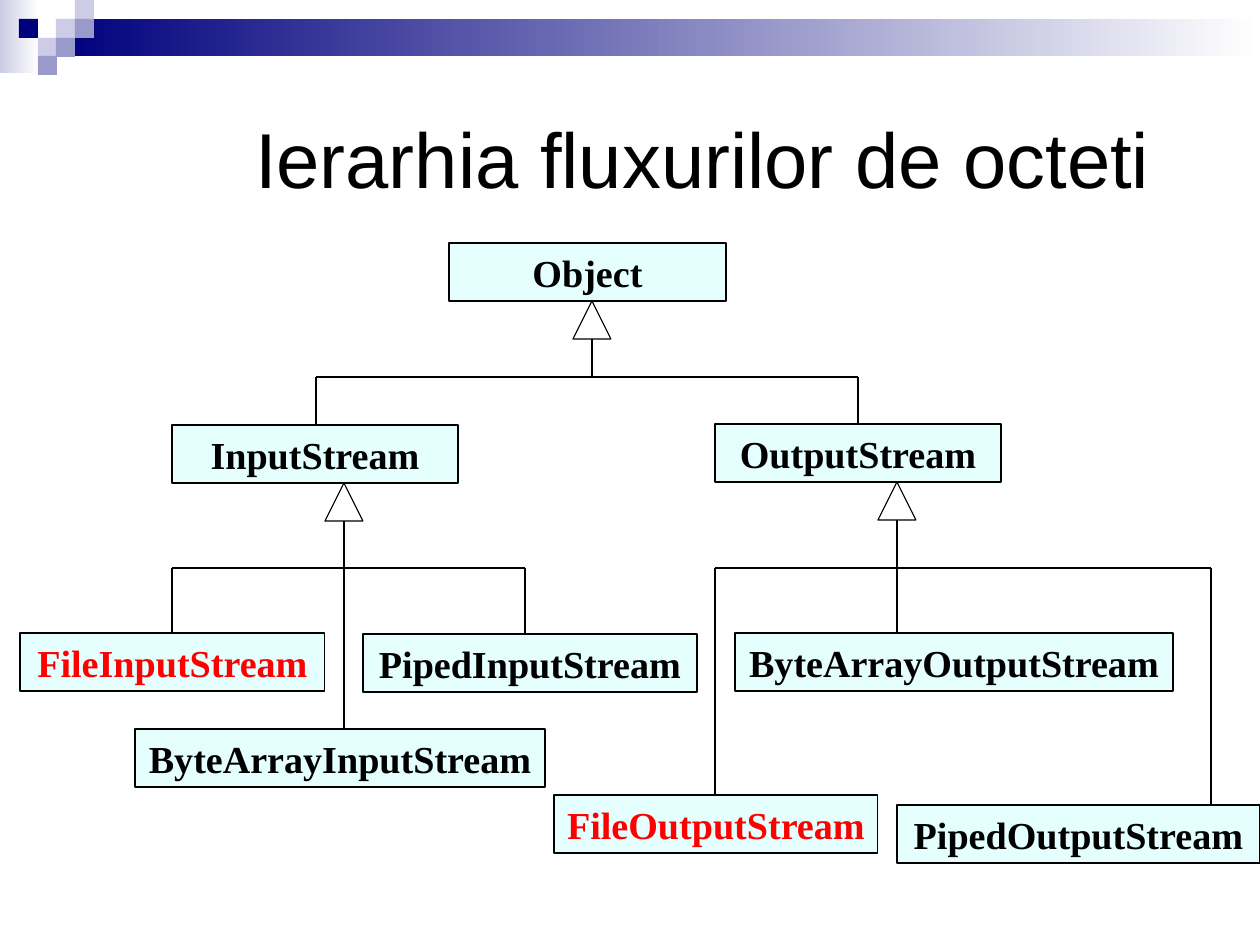
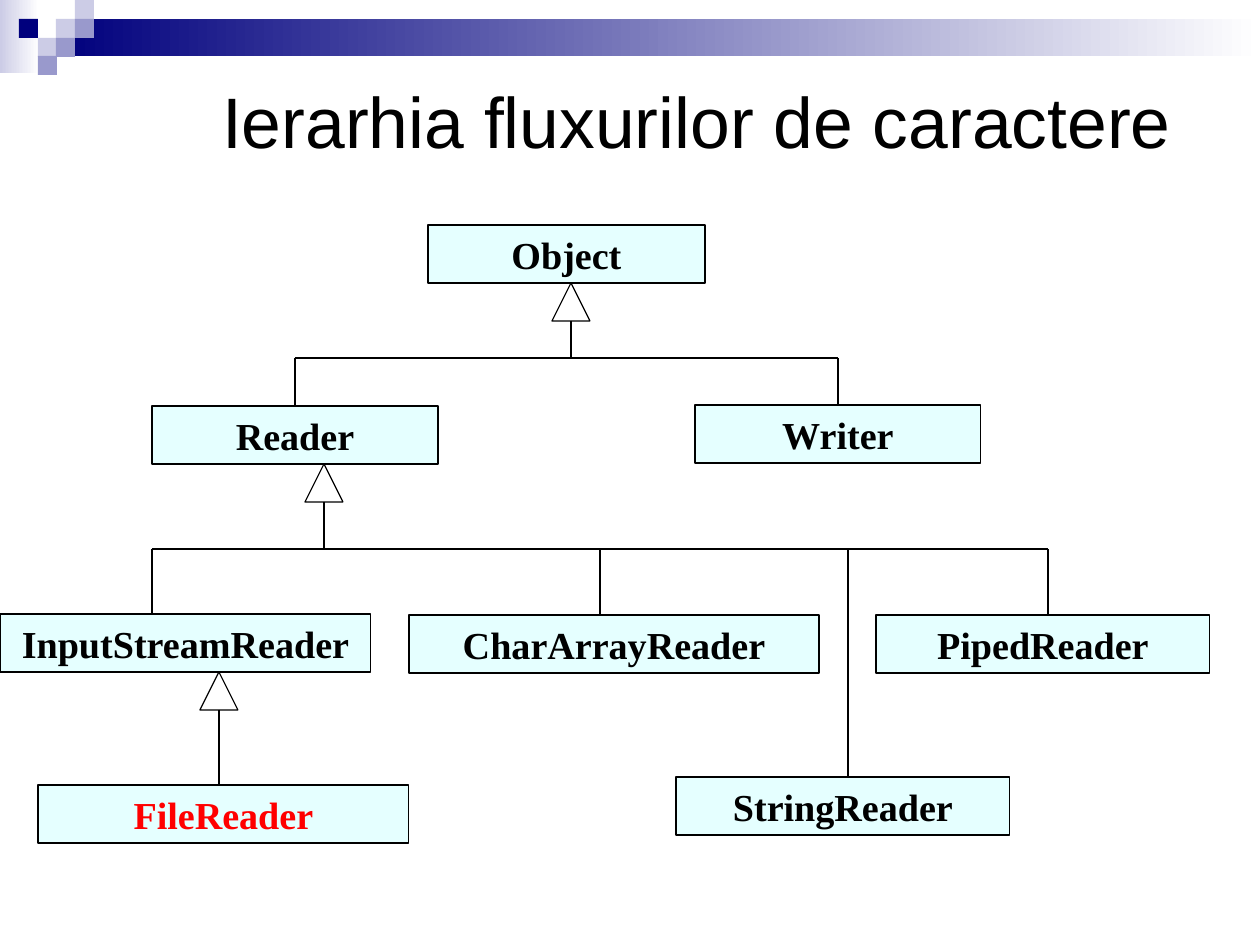
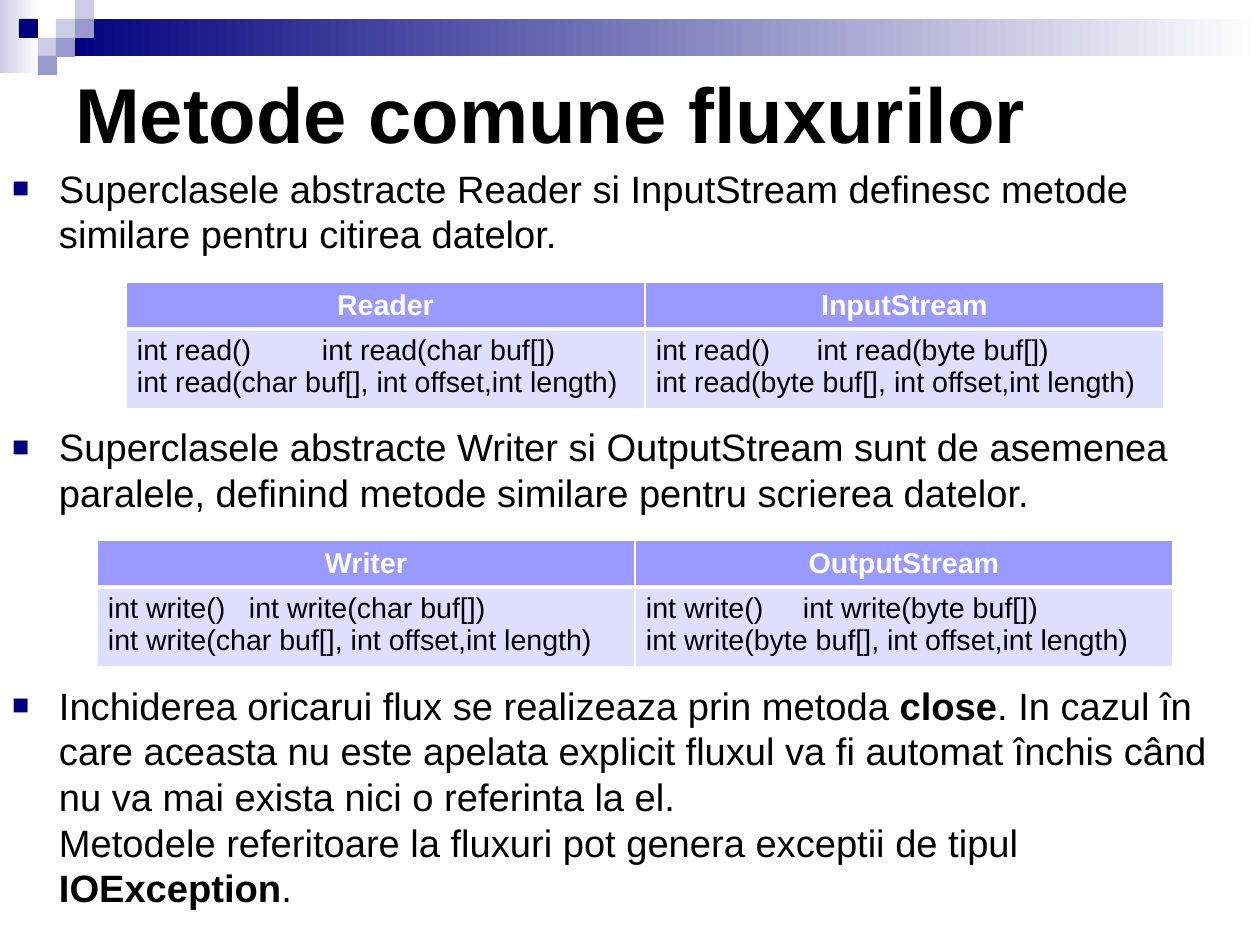
from dataclasses import dataclass

import lxml.etree
import pptx
import pptx.dml.color
import pptx.enum.shapes
import pptx.enum.text
import pptx.oxml.ns
import pptx.presentation
import pptx.shapes.autoshape
import pptx.slide
import pptx.table
import pptx.text.text
import pptx.util

EMU_PER_PX = 8000
SLIDE_WIDTH, SLIDE_HEIGHT = 1260, 945
COLORS = {
    "navy": "00007D",
    "lavender": "CCCCE6",
    "violet": "9999CC",
    "white": "FFFFFF",
    "black": "000000",
    "red": "FF0000",
    "box": "CCFFFF",
    "table_head": "9999FF",
    "table_body": "DEDEFF",
}
SANS, SERIF = "Arial", "Times New Roman"

BAND_STEP = 18.75
BAND_SQUARES = [  # column, row, colour
    (3, 1, "lavender"), (4, 0, "lavender"), (4, 1, "violet"), (2, 2, "lavender"),
    (1, 1, "navy"), (3, 2, "violet"), (2, 3, "violet"),
]

BOX_HEIGHT = 58
TRIANGLE_SIZE = 38
BULLET_INDENT = 47
TABLE_ROWS = (47, 80)

MSO_SHAPE = pptx.enum.shapes.MSO_SHAPE
ALIGN = pptx.enum.text.PP_ALIGN
ANCHOR = pptx.enum.text.MSO_ANCHOR


@dataclass(frozen=True)
class Area:
    left: int
    top: int
    width: int
    height: int


@dataclass(frozen=True)
class TitleStyle:
    area: Area
    size: int = 49
    indent: int = 0
    bold: bool = False


@dataclass(frozen=True)
class ClassBox:
    name: str
    left: int
    top: int
    width: int
    color: str = "black"


@dataclass(frozen=True)
class Branch:
    """Inheritance arrow of a parent; children maps each name to its drop line's x."""
    parent: str
    apex_x: int
    rail_y: int
    children: dict[str, int]


@dataclass(frozen=True)
class Hierarchy:
    title: str
    title_style: TitleStyle
    boxes: list[ClassBox]
    branches: list[Branch]


@dataclass(frozen=True)
class MethodColumn:
    heading: str
    tab: int
    lines: list[str]


@dataclass(frozen=True)
class MethodTable:
    left: int
    top: int
    column_width: int
    columns: list[MethodColumn]


HIERARCHIES = [
    Hierarchy(
        "Ierarhia fluxurilor de octeti",
        TitleStyle(Area(63, 63, 1134, 189), indent=180),
        [
            ClassBox("Object", 449, 243, 277),
            ClassBox("InputStream", 172, 425, 286),
            ClassBox("OutputStream", 715, 424, 286),
            ClassBox("FileInputStream", 20, 633, 305, "red"),
            ClassBox("PipedInputStream", 363, 634, 334),
            ClassBox("ByteArrayInputStream", 135, 729, 410),
            ClassBox("ByteArrayOutputStream", 735, 633, 438),
            ClassBox("FileOutputStream", 554, 795, 324, "red"),
            ClassBox("PipedOutputStream", 897, 805, 363),
        ],
        [
            Branch("Object", 592, 377, {"InputStream": 316, "OutputStream": 858}),
            Branch("InputStream", 344, 568, {
                "FileInputStream": 172, "ByteArrayInputStream": 344, "PipedInputStream": 525}),
            Branch("OutputStream", 897, 568, {
                "FileOutputStream": 715, "ByteArrayOutputStream": 897,
                "PipedOutputStream": 1211}),
        ],
    ),
    Hierarchy(
        "Ierarhia fluxurilor de caractere",
        TitleStyle(Area(30, 25, 1167, 189), size=45, indent=180),
        [
            ClassBox("Object", 428, 225, 277),
            ClassBox("Reader", 152, 406, 286),
            ClassBox("Writer", 695, 405, 286),
            ClassBox("InputStreamReader", 0, 614, 371),
            ClassBox("CharArrayReader", 409, 615, 410),
            ClassBox("PipedReader", 876, 615, 334),
            ClassBox("StringReader", 676, 777, 334),
            ClassBox("FileReader", 38, 785, 371, "red"),
        ],
        [
            Branch("Object", 571, 358, {"Reader": 295, "Writer": 838}),
            Branch("Reader", 324, 549, {
                "InputStreamReader": 152, "CharArrayReader": 600,
                "StringReader": 848, "PipedReader": 1048}),
            Branch("InputStreamReader", 219, 748, {"FileReader": 219}),
        ],
    ),
]

METHODS_TITLE = "Metode comune fluxurilor"
METHODS_TITLE_STYLE = TitleStyle(Area(63, 18, 1134, 189), bold=True)
METHODS_BODY = Area(0, 158, 1230, 780)
METHODS_GAP = 167
# Each paragraph is a list of (text, bold); "\n" is a line break.
METHODS_PARAGRAPHS = [
    [("Superclasele abstracte Reader si InputStream definesc metode similare "
      "pentru citirea datelor.", False)],
    [("Superclasele abstracte Writer si OutputStream sunt de asemenea paralele, "
      "definind metode similare pentru scrierea datelor.", False)],
    [
        ("Inchiderea oricarui flux se realizeaza prin metoda ", False),
        ("close", True),
        (". In cazul în care aceasta nu este apelata explicit fluxul va fi automat "
         "închis când nu va mai exista nici o referinta la el.", False),
        ("\n", False),
        ("Metodele referitoare la fluxuri pot genera exceptii de tipul ", False),
        ("IOException", True),
        (".", False),
    ],
]
METHOD_TABLES = [
    MethodTable(126, 282, 519, [
        MethodColumn("Reader", 185, [
            "int read()\tint read(char buf[])",
            "int read(char buf[], int offset,int length)"]),
        MethodColumn("InputStream", 161, [
            "int read()\tint read(byte buf[])",
            "int read(byte buf[], int offset,int length)"]),
    ]),
    MethodTable(97, 540, 538, [
        MethodColumn("Writer", 141, [
            "int write()\tint write(char buf[])",
            "int write(char buf[], int offset,int length)"]),
        MethodColumn("OutputStream", 157, [
            "int write()\tint write(byte buf[])",
            "int write(byte buf[], int offset,int length)"]),
    ]),
]


def px(length: int) -> pptx.util.Emu:
    return pptx.util.Emu(length * EMU_PER_PX)


def rgb(color: str) -> pptx.dml.color.RGBColor:
    return pptx.dml.color.RGBColor.from_string(COLORS[color])


def add_element(parent: lxml.etree._Element, tag: str, **attributes: str) -> lxml.etree._Element:
    return lxml.etree.SubElement(parent, pptx.oxml.ns.qn(tag), attributes)


def add_run(paragraph: pptx.text.text._Paragraph, text: str, size: int,
            color: str = "black", bold: bool = False, font: str = SANS) -> None:
    run = paragraph.add_run()
    run.text = text
    run.font.name = font
    run.font.size = pptx.util.Pt(size)
    run.font.bold = bold
    run.font.color.rgb = rgb(color)


def place(shape: pptx.shapes.autoshape.Shape, area: Area) -> None:
    shape.left, shape.top = px(area.left), px(area.top)
    shape.width, shape.height = px(area.width), px(area.height)


def format_frame(frame: pptx.text.text.TextFrame, anchor: ANCHOR) -> None:
    frame.word_wrap = True
    frame.auto_size = pptx.enum.text.MSO_AUTO_SIZE.NONE
    frame.vertical_anchor = anchor
    frame.margin_left = frame.margin_right = px(12)
    frame.margin_top = frame.margin_bottom = px(7)


def add_plain_shape(slide: pptx.slide.Slide, kind: MSO_SHAPE,
                    area: Area) -> pptx.shapes.autoshape.Shape:
    shape = slide.shapes.add_shape(
        kind, px(area.left), px(area.top), px(area.width), px(area.height))
    shape.shadow.inherit = False
    shape.fill.background()
    shape.line.fill.background()
    return shape


def outline(shape: pptx.shapes.autoshape.Shape) -> None:
    shape.line.color.rgb = rgb("black")
    shape.line.width = pptx.util.Pt(0.75)


def add_line(slide: pptx.slide.Slide, x1: int, y1: int, x2: int, y2: int) -> None:
    connector = slide.shapes.add_connector(
        pptx.enum.shapes.MSO_CONNECTOR.STRAIGHT, px(x1), px(y1), px(x2), px(y2))
    outline(connector)
    add_element(connector.element.spPr, "a:effectLst")


def add_fade(slide: pptx.slide.Slide, area: Area, color: str) -> pptx.shapes.autoshape.Shape:
    shape = add_plain_shape(slide, MSO_SHAPE.RECTANGLE, area)
    shape.fill.gradient()
    shape.fill.gradient_angle = 0
    for stop, stop_color in zip(shape.fill.gradient_stops, (color, "white")):
        stop.color.rgb = rgb(stop_color)
    return shape


def add_band_to_master(presentation: pptx.presentation.Presentation,
                       slide: pptx.slide.Slide) -> None:
    """Draw the band on a slide, then move it to the master so all slides share it."""
    shapes = [
        add_fade(slide, Area(0, 0, 39, 73), "lavender"),
        add_fade(slide, Area(57, 19, SLIDE_WIDTH - 57, 37), "navy"),
    ]
    for column, row, color in BAND_SQUARES:
        square = add_plain_shape(slide, MSO_SHAPE.RECTANGLE, Area(
            round(column * BAND_STEP), round(row * BAND_STEP), 19, 19))
        square.fill.solid()
        square.fill.fore_color.rgb = rgb(color)
        shapes.append(square)
    for shape_id, shape in enumerate(shapes, 20):
        shape.element.nvSpPr.cNvPr.set("id", str(shape_id))
        presentation.slide_master.shapes.element.append(shape.element)


def set_title(slide: pptx.slide.Slide, text: str, style: TitleStyle) -> None:
    title = slide.shapes.title
    place(title, style.area)
    format_frame(title.text_frame, ANCHOR.MIDDLE)
    paragraph = title.text_frame.paragraphs[0]
    paragraph.alignment = ALIGN.LEFT
    properties = paragraph._p.get_or_add_pPr()
    properties.set("marL", str(px(style.indent)))
    properties.set("indent", "0")
    add_run(paragraph, text, style.size, bold=style.bold)


def add_class_box(slide: pptx.slide.Slide, box: ClassBox) -> None:
    shape = add_plain_shape(slide, MSO_SHAPE.RECTANGLE,
                            Area(box.left, box.top, box.width, BOX_HEIGHT))
    shape.fill.solid()
    shape.fill.fore_color.rgb = rgb("box")
    fill_color = next(shape.element.spPr.iter(pptx.oxml.ns.qn("a:srgbClr")))
    add_element(fill_color, "a:alpha", val="50000")
    outline(shape)
    format_frame(shape.text_frame, ANCHOR.MIDDLE)
    shape.text_frame.word_wrap = False
    paragraph = shape.text_frame.paragraphs[0]
    paragraph.alignment = ALIGN.CENTER
    add_run(paragraph, box.name, 24, box.color, True, SERIF)


def add_branch(slide: pptx.slide.Slide, branch: Branch, boxes: dict[str, ClassBox]) -> None:
    apex_y = boxes[branch.parent].top + BOX_HEIGHT
    triangle = add_plain_shape(slide, MSO_SHAPE.ISOSCELES_TRIANGLE, Area(
        branch.apex_x - TRIANGLE_SIZE // 2, apex_y, TRIANGLE_SIZE, TRIANGLE_SIZE))
    outline(triangle)
    add_line(slide, branch.apex_x, apex_y + TRIANGLE_SIZE, branch.apex_x, branch.rail_y)
    drops = branch.children.values()
    if len(drops) > 1:
        add_line(slide, min(drops), branch.rail_y, max(drops), branch.rail_y)
    for name, x in branch.children.items():
        add_line(slide, x, branch.rail_y, x, boxes[name].top)


def fill_hierarchy_slide(slide: pptx.slide.Slide, hierarchy: Hierarchy) -> None:
    set_title(slide, hierarchy.title, hierarchy.title_style)
    for box in hierarchy.boxes:
        add_class_box(slide, box)
    boxes = {box.name: box for box in hierarchy.boxes}
    for branch in hierarchy.branches:
        add_branch(slide, branch, boxes)


def add_bullet(paragraph: pptx.text.text._Paragraph) -> None:
    properties = paragraph._p.get_or_add_pPr()
    properties.set("marL", str(px(BULLET_INDENT)))
    properties.set("indent", str(-px(BULLET_INDENT)))
    bullet_color = add_element(properties, "a:buClr")
    add_element(bullet_color, "a:srgbClr", val=COLORS["navy"])
    add_element(properties, "a:buSzPct", val="75000")
    add_element(properties, "a:buFont", typeface=SANS)
    add_element(properties, "a:buChar", char="■")


def fill_methods_body(body: pptx.shapes.autoshape.Shape) -> None:
    place(body, METHODS_BODY)
    frame = body.text_frame
    format_frame(frame, ANCHOR.TOP)
    for index, runs in enumerate(METHODS_PARAGRAPHS):
        paragraph = frame.add_paragraph() if index else frame.paragraphs[0]
        add_bullet(paragraph)
        paragraph.alignment = ALIGN.LEFT
        paragraph.line_spacing = pptx.util.Pt(28.8)
        paragraph.space_before = px(METHODS_GAP if index else 0)
        for text, bold in runs:
            if text == "\n":
                paragraph.add_line_break()
            else:
                add_run(paragraph, text, 24, bold=bold)


def style_cell(cell: pptx.table._Cell, fill: str, top: int, bottom: int) -> None:
    """Set the fill, margins and white borders; top and bottom are widths in points."""
    cell.fill.solid()
    cell.fill.fore_color.rgb = rgb(fill)
    cell.margin_left = cell.margin_right = px(11)
    cell.margin_top = cell.margin_bottom = px(6)
    properties = cell._tc.get_or_add_tcPr()
    widths = {"a:lnL": 1, "a:lnR": 1, "a:lnT": top, "a:lnB": bottom}
    for position, (tag, width) in enumerate(widths.items()):
        border = add_element(properties, tag, w=str(pptx.util.Pt(width)))
        border_fill = add_element(border, "a:solidFill")
        add_element(border_fill, "a:srgbClr", val=COLORS["white"])
        properties.insert(position, border)


def add_method_table(slide: pptx.slide.Slide, methods: MethodTable) -> None:
    count = len(methods.columns)
    table = slide.shapes.add_table(
        len(TABLE_ROWS), count, px(methods.left), px(methods.top),
        px(methods.column_width * count), px(sum(TABLE_ROWS))).table
    for row, height in zip(table.rows, TABLE_ROWS):
        row.height = px(height)
    for index, column in enumerate(methods.columns):
        table.columns[index].width = px(methods.column_width)
        head, body = table.cell(0, index), table.cell(1, index)
        style_cell(head, "table_head", 1, 3)
        style_cell(body, "table_body", 3, 1)
        head.vertical_anchor = ANCHOR.MIDDLE
        heading = head.text_frame.paragraphs[0]
        heading.alignment = ALIGN.CENTER
        add_run(heading, column.heading, 18, "white", True)
        for number, line in enumerate(column.lines):
            frame = body.text_frame
            paragraph = frame.add_paragraph() if number else frame.paragraphs[0]
            if "\t" in line:
                tabs = add_element(paragraph._p.get_or_add_pPr(), "a:tabLst")
                add_element(tabs, "a:tab", pos=str(px(column.tab)), algn="l")
            add_run(paragraph, line, 18)


def main() -> None:
    presentation = pptx.Presentation()
    presentation.slide_width, presentation.slide_height = px(SLIDE_WIDTH), px(SLIDE_HEIGHT)
    title_and_content, title_only = (presentation.slide_layouts[index] for index in (1, 5))

    for hierarchy in HIERARCHIES:
        fill_hierarchy_slide(presentation.slides.add_slide(title_only), hierarchy)

    methods_slide = presentation.slides.add_slide(title_and_content)
    set_title(methods_slide, METHODS_TITLE, METHODS_TITLE_STYLE)
    fill_methods_body(methods_slide.placeholders[1])
    for methods in METHOD_TABLES:
        add_method_table(methods_slide, methods)

    add_band_to_master(presentation, presentation.slides[0])
    presentation.save("out.pptx")


if __name__ == "__main__":
    main()
